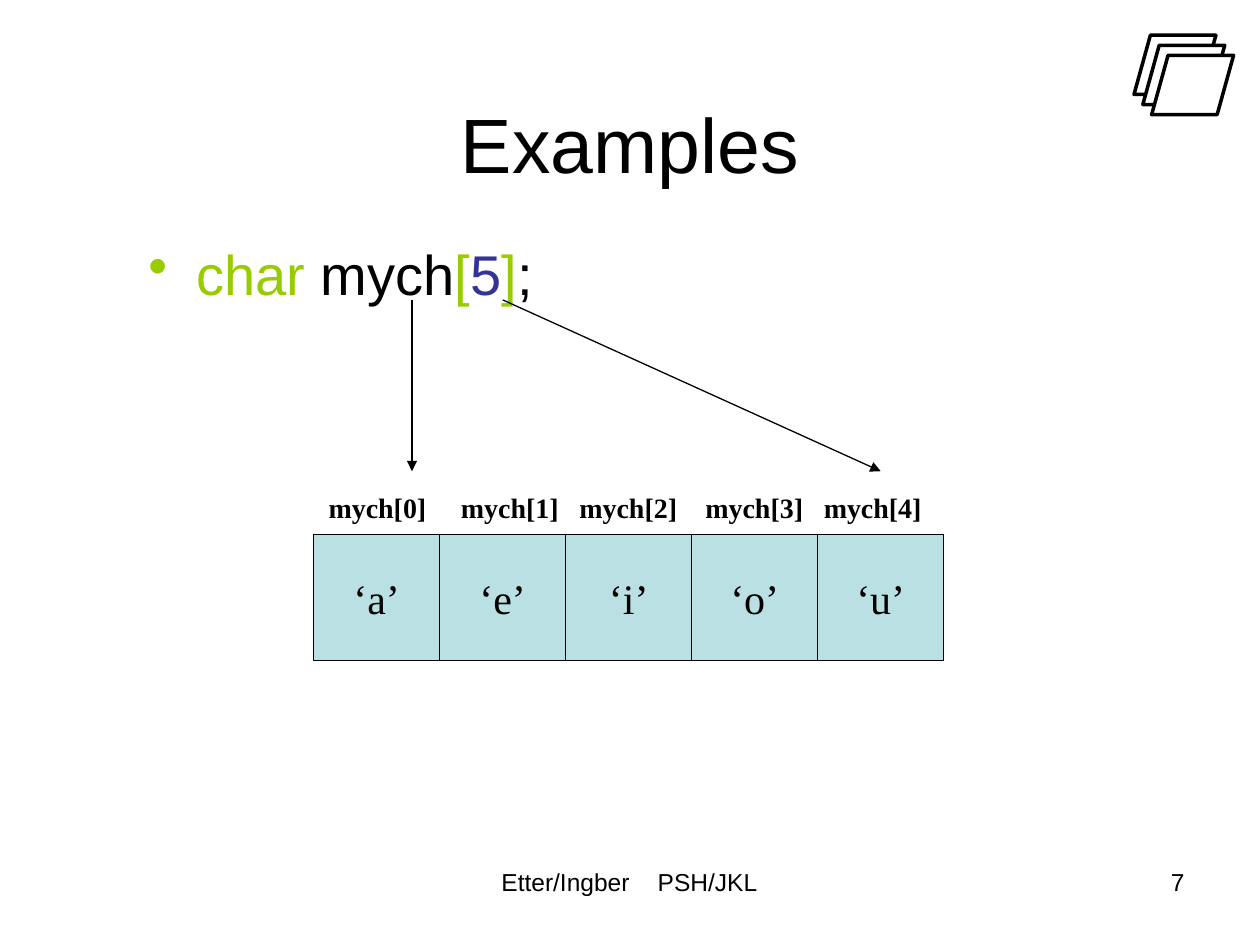
"""Build the slide that shows how a five-element char array is laid out."""
import pptx
import pptx.dml.color
import pptx.enum.shapes
import pptx.enum.text
import pptx.oxml
import pptx.oxml.ns
import pptx.util

Inches = pptx.util.Inches
Pt = pptx.util.Pt
MSO_SHAPE = pptx.enum.shapes.MSO_SHAPE
ALIGN = pptx.enum.text.PP_ALIGN
ANCHOR = pptx.enum.text.MSO_ANCHOR

COLORS = {
    "ink": "000000",
    "paper": "FFFFFF",
    "keyword": "99CC00",
    "number": "333399",
    "cell": "BBE0E3",
}


def rgb(name):
    return pptx.dml.color.RGBColor.from_string(COLORS[name])


def write(frame, text, size=14, font="Arial", bold=False, align=ALIGN.LEFT,
          anchor=ANCHOR.TOP, wrap=True, left=0.1, top=0.05, bullet=None, tabs=()):
    frame.word_wrap = wrap
    frame.vertical_anchor = anchor
    frame.margin_left, frame.margin_right = Inches(left), Inches(0.1)
    frame.margin_top, frame.margin_bottom = Inches(top), Inches(0.05)
    paragraph = frame.paragraphs[0]
    paragraph.alignment = align
    properties = paragraph._p.get_or_add_pPr()
    namespace = pptx.oxml.ns.nsdecls("a")
    if bullet:
        properties.set("marL", str(Inches(0.38)))
        properties.set("indent", str(Inches(-0.38)))
        properties.append(pptx.oxml.parse_xml(
            f'<a:buClr {namespace}><a:srgbClr val="{COLORS[bullet]}"/></a:buClr>'))
        properties.append(pptx.oxml.parse_xml(f'<a:buChar {namespace} char="•"/>'))
    if tabs:
        stops = "".join(f'<a:tab pos="{Inches(stop)}" algn="l"/>' for stop in tabs)
        properties.append(pptx.oxml.parse_xml(
            f"<a:tabLst {namespace}>{stops}</a:tabLst>"))
    for words, color in [(text, "ink")] if isinstance(text, str) else text:
        run = paragraph.add_run()
        run.text = words
        run.font.size = Pt(size)
        run.font.name = font
        run.font.bold = bold
        run.font.color.rgb = rgb(color)


deck = pptx.Presentation()
deck.slide_width, deck.slide_height = Inches(10), Inches(7.5)
slide = deck.slides.add_slide(deck.slide_layouts[5])
shapes = slide.shapes

title = shapes.title
title.left, title.top = Inches(0.5), Inches(0.3)
title.width, title.height = Inches(9), Inches(1.25)
write(title.text_frame, "Examples", size=44, align=ALIGN.CENTER, anchor=ANCHOR.BOTTOM)

authors = shapes.add_textbox(Inches(3.42), Inches(6.83), Inches(3.17), Inches(0.52))
write(authors.text_frame, "Etter/Ingber\tPSH/JKL", left=0.56, tabs=[1.24])

page_number = shapes.add_textbox(Inches(7.17), Inches(6.83), Inches(2.33), Inches(0.52))
write(page_number.text_frame, "7", align=ALIGN.RIGHT)

declaration = shapes.add_textbox(Inches(1.08), Inches(1.85), Inches(8.5), Inches(4.5))
write(declaration.text_frame,
      [("char", "keyword"), (" mych", "ink"), ("[", "keyword"),
       ("5", "number"), ("]", "keyword"), (";", "ink")],
      size=32, bullet="keyword")

vowels = "aeiou"
for index, vowel in enumerate(vowels):
    cell = shapes.add_shape(MSO_SHAPE.RECTANGLE, Inches(2.49 + index), Inches(4.24),
                            Inches(1), Inches(1))
    cell.shadow.inherit = False
    cell.fill.solid()
    cell.fill.fore_color.rgb = rgb("cell")
    cell.line.color.rgb = rgb("ink")
    cell.line.width = Pt(0.75)
    write(cell.text_frame, f"‘{vowel}’", size=24, font="Times New Roman",
          align=ALIGN.CENTER, anchor=ANCHOR.MIDDLE, wrap=False)

element_names = shapes.add_textbox(Inches(2.51), Inches(3.74), Inches(4.99), Inches(0.5))
write(element_names.text_frame,
      "\t".join(f"mych[{index}]" for index in range(len(vowels))),
      size=16, font="Times New Roman", bold=True, top=0.15,
      tabs=[1.05, 1.99, 2.99, 3.93])

for start, end in [(3.99, 6.99), (3.27, 3.27)]:
    arrow = shapes.add_connector(pptx.enum.shapes.MSO_CONNECTOR.STRAIGHT,
                                 Inches(start), Inches(2.38), Inches(end), Inches(3.74))
    arrow.line.color.rgb = rgb("ink")
    arrow.line.width = Pt(0.75)
    arrow.line._get_or_add_ln().append(pptx.oxml.parse_xml(
        f'<a:tailEnd {pptx.oxml.ns.nsdecls("a")} type="triangle"/>'))
    arrow._element.spPr.append(pptx.oxml.parse_xml(
        f'<a:effectLst {pptx.oxml.ns.nsdecls("a")}/>'))

for layer in range(3):
    sheet = shapes.add_shape(MSO_SHAPE.FLOWCHART_DATA, Inches(9 + 0.07 * layer),
                             Inches(0.28 + 0.08 * layer), Inches(0.65), Inches(0.47))
    sheet.shadow.inherit = False
    if layer:
        sheet.fill.solid()
        sheet.fill.fore_color.rgb = rgb("paper")
    else:
        sheet.fill.background()
    sheet.line.color.rgb = rgb("ink")
    sheet.line.width = Pt(2)

deck.save("out.pptx")
